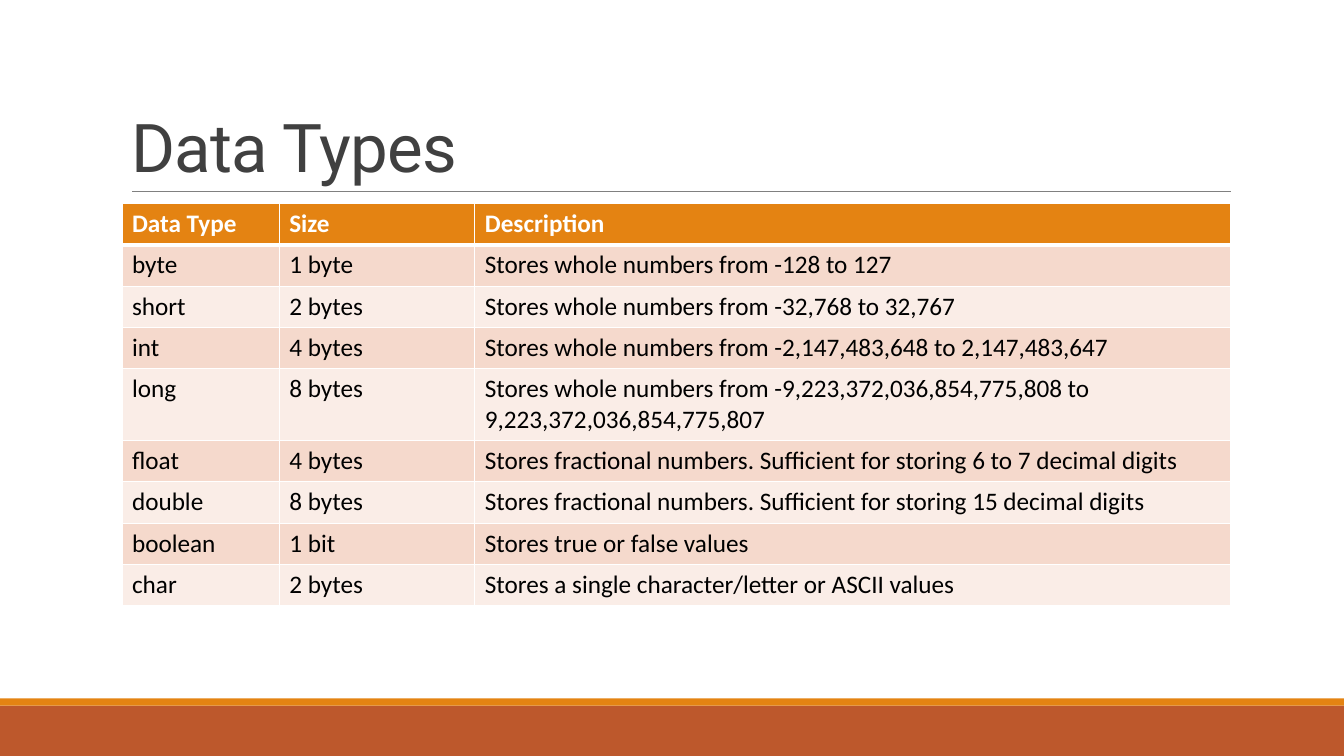
from dataclasses import dataclass

from lxml import etree
from pptx import Presentation
from pptx import util as u
from pptx.dml.color import RGBColor
from pptx.enum import shapes, text
from pptx.oxml import ns


@dataclass(frozen=True)
class Theme:
    orange: str = "E48312"
    rust: str = "BD582C"
    gray: str = "808080"
    title_color: str = "404040"
    white: str = "FFFFFF"
    black: str = "000000"
    bands: tuple[str, str] = ("F5D9CC", "FAEDE7")
    title_font: str = "Roboto"
    body_font: str = "Calibri"
    title_size: float = 48
    body_size: float = 18
    thin_border: float = 1
    header_border: float = 3


@dataclass(frozen=True)
class Bar:
    top: float
    height: float
    color: str


@dataclass(frozen=True)
class DataType:
    name: str
    size: str
    description: str

    def cells(self) -> tuple[str, str, str]:
        return self.name, self.size, self.description


THEME = Theme()
SLIDE_WIDTH, SLIDE_HEIGHT = 13.33, 7.5
CONTENT_LEFT, CONTENT_WIDTH = 1.21, 11
COLUMN_WIDTHS = (1.56, 1.94, 7.5)
ROW_HEIGHT = 0.41

FOOTER_BARS = (Bar(7, 0.5, THEME.rust), Bar(6.93, 0.07, THEME.orange))
HEADER = DataType("Data Type", "Size", "Description")
DATA_TYPES = (
    DataType("byte", "1 byte", "Stores whole numbers from -128 to 127"),
    DataType("short", "2 bytes", "Stores whole numbers from -32,768 to 32,767"),
    DataType("int", "4 bytes", "Stores whole numbers from -2,147,483,648 to 2,147,483,647"),
    DataType("long", "8 bytes", "Stores whole numbers from -9,223,372,036,854,775,808 "
                                "to 9,223,372,036,854,775,807"),
    DataType("float", "4 bytes", "Stores fractional numbers. Sufficient for storing "
                                 "6 to 7 decimal digits"),
    DataType("double", "8 bytes", "Stores fractional numbers. Sufficient for storing "
                                  "15 decimal digits"),
    DataType("boolean", "1 bit", "Stores true or false values"),
    DataType("char", "2 bytes", "Stores a single character/letter or ASCII values"),
)


def write_text(frame, content: str, *, font: str, size: float, color: str,
               bold: bool = False, line_spacing: float = 1.0,
               letter_spacing: float = 0) -> None:
    paragraph = frame.paragraphs[0]
    paragraph.alignment = text.PP_ALIGN.LEFT
    paragraph.line_spacing = line_spacing
    run = paragraph.add_run()
    run.text = content
    run.font.name = font
    run.font.size = u.Pt(size)
    run.font.bold = bold
    run.font.color.rgb = RGBColor.from_string(color)
    if letter_spacing:
        run.font._element.set("spc", str(round(letter_spacing * 100)))


def add_bar(slide, bar: Bar) -> None:
    shape = slide.shapes.add_shape(
        shapes.MSO_SHAPE.RECTANGLE, 0, u.Inches(bar.top),
        u.Inches(SLIDE_WIDTH), u.Inches(bar.height))
    shape.shadow.inherit = False
    shape.fill.solid()
    shape.fill.fore_color.rgb = RGBColor.from_string(bar.color)
    shape.line.fill.background()


def add_title_rule(slide) -> None:
    rule = slide.shapes.add_connector(
        shapes.MSO_CONNECTOR.STRAIGHT, u.Inches(1.31), u.Inches(1.9),
        u.Inches(12.21), u.Inches(1.9))
    rule.line.color.rgb = RGBColor.from_string(THEME.gray)
    rule.line.width = u.Pt(0.5)
    etree.SubElement(rule._element.spPr, ns.qn("a:effectLst"))


def set_title(slide, content: str) -> None:
    title = slide.shapes.title
    title.left, title.top = u.Inches(1.2), u.Inches(0.31)
    title.width, title.height = u.Inches(CONTENT_WIDTH), u.Inches(1.59)
    frame = title.text_frame
    frame.word_wrap = True
    frame.auto_size = text.MSO_AUTO_SIZE.NONE
    frame.vertical_anchor = text.MSO_ANCHOR.BOTTOM
    write_text(frame, content, font=THEME.title_font, size=THEME.title_size,
               color=THEME.title_color, line_spacing=0.85, letter_spacing=-0.5)


def set_borders(cell, top: float, bottom: float) -> None:
    properties = cell._tc.get_or_add_tcPr()
    widths = {"L": THEME.thin_border, "R": THEME.thin_border, "T": top, "B": bottom}
    for side, width in widths.items():
        line = etree.SubElement(properties, ns.qn(f"a:ln{side}"), w=str(u.Pt(width)))
        fill = etree.SubElement(line, ns.qn("a:solidFill"))
        etree.SubElement(fill, ns.qn("a:srgbClr"), val=THEME.white)


def add_type_table(slide, rows: tuple[DataType, ...]) -> None:
    table = slide.shapes.add_table(
        len(rows), len(COLUMN_WIDTHS), u.Inches(CONTENT_LEFT), u.Inches(2.02),
        u.Inches(CONTENT_WIDTH), u.Inches(ROW_HEIGHT * len(rows))).table
    for column, width in zip(table.columns, COLUMN_WIDTHS):
        column.width = u.Inches(width)
    for index, (row, data_type) in enumerate(zip(table.rows, rows)):
        row.height = u.Inches(ROW_HEIGHT)
        is_header = index == 0
        fill = THEME.orange if is_header else THEME.bands[(index - 1) % 2]
        for cell, content in zip(row.cells, data_type.cells()):
            set_borders(cell,
                        top=THEME.header_border if index == 1 else THEME.thin_border,
                        bottom=THEME.header_border if is_header else THEME.thin_border)
            cell.fill.solid()
            cell.fill.fore_color.rgb = RGBColor.from_string(fill)
            write_text(cell.text_frame, content, font=THEME.body_font,
                       size=THEME.body_size, bold=is_header,
                       color=THEME.white if is_header else THEME.black)


def main() -> None:
    presentation = Presentation()
    presentation.slide_width = u.Inches(SLIDE_WIDTH)
    presentation.slide_height = u.Inches(SLIDE_HEIGHT)
    slide = presentation.slides.add_slide(presentation.slide_layouts[5])

    # Footer bars and title rule
    for bar in FOOTER_BARS:
        add_bar(slide, bar)
    add_title_rule(slide)

    # Title and table
    set_title(slide, "Data Types")
    add_type_table(slide, (HEADER, *DATA_TYPES))

    presentation.save("out.pptx")


if __name__ == "__main__":
    main()
